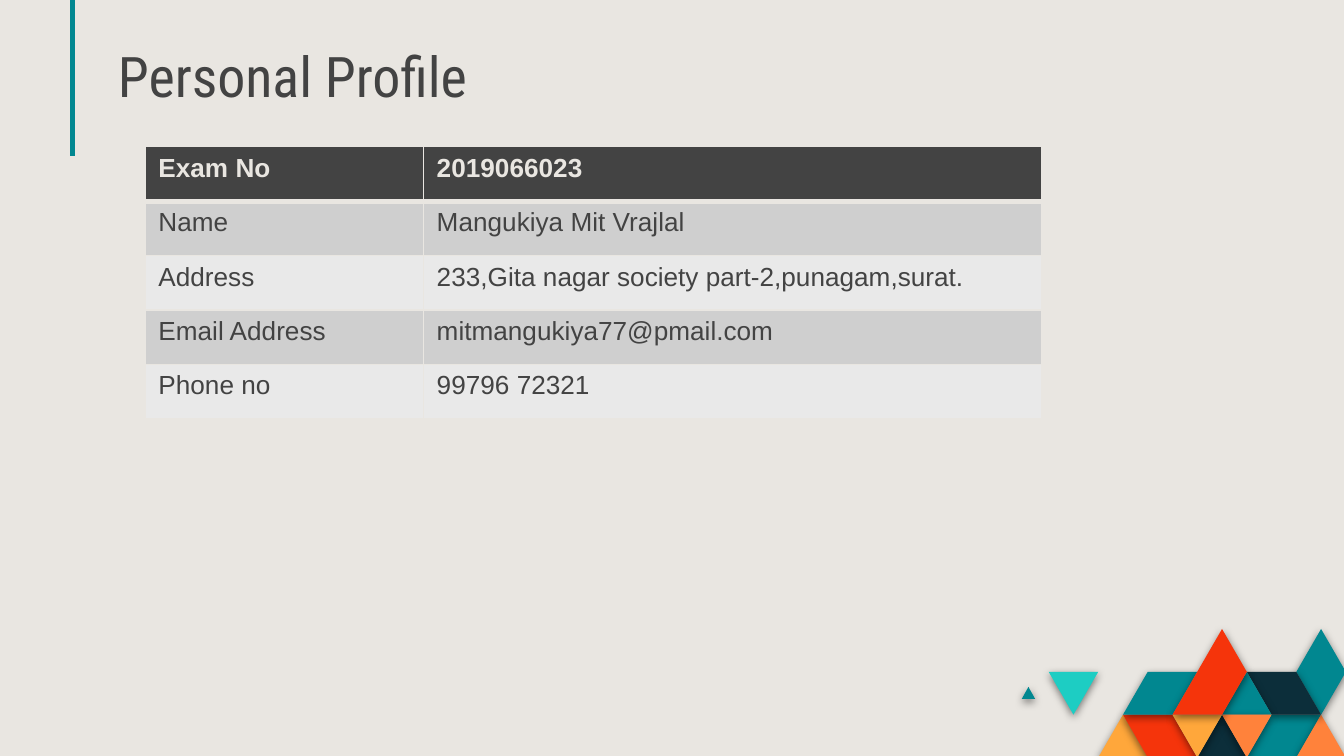
from lxml import etree
from pptx import Presentation
from pptx import util as u
from pptx.dml import color
from pptx.enum import shapes, text
from pptx.oxml import ns, parse_xml

BACKGROUND, DARK, TEAL = "E9E6E1", "434343", "018790"
RED, NAVY, AMBER, ORANGE, AQUA = "F5340B", "0C2E3A", "FFA73B", "FF823B", "1DCDC3"

PROFILE = [
    ("Exam No", "2019066023"),
    ("Name", "Mangukiya Mit Vrajlal"),
    ("Address", "233,Gita nagar society part-2,punagam,surat."),
    ("Email Address", "mitmangukiya77@pmail.com"),
    ("Phone no", "99796 72321"),
]

LATTICE_LEFT, LATTICE_TOP = 19.82, 11.89
HALF_SIDE, ROW_HEIGHT = 0.468, 0.81

TILES = [
    (AMBER, [(2, 3), (3, 2), (4, 3)]),
    (RED, [(3, 2), (5, 2), (6, 3), (4, 3)]),
    (TEAL, [(8, 3), (9, 2), (11, 2), (10, 3)]),
    (ORANGE, [(10, 3), (11, 2), (12, 3)]),
    (NAVY, [(6, 3), (7, 2), (8, 3)]),
    (TEAL, [(3, 2), (4, 1), (6, 1), (5, 2)]),
    (TEAL, [(-1.09, 1.63), (-0.82, 1.35), (-0.55, 1.63)]),
    (AQUA, [(0, 1), (2, 1), (1, 2)]),
    (TEAL, [(10, 1), (11, 0), (12, 1), (11, 2)]),
    (NAVY, [(8, 1), (10, 1), (11, 2), (9, 2)]),
    (TEAL, [(7, 2), (8, 1), (9, 2)]),
    (ORANGE, [(7, 2), (9, 2), (8, 3)]),
    (AMBER, [(5, 2), (7, 2), (6, 3)]),
    (RED, [(5, 2), (7, 0), (8, 1), (7, 2)]),
]


def rgb(value):
    """Turn a hex string into a colour."""
    return color.RGBColor.from_string(value)


def fill_solid(fill, value):
    """Give a fill one plain colour."""
    fill.solid()
    fill.fore_color.rgb = rgb(value)


def format_text(text_frame, font_name, size, value, bold=False):
    """Format every run of a text frame."""
    for paragraph in text_frame.paragraphs:
        for run in paragraph.runs:
            run.font.name = font_name
            run.font.size = u.Pt(size)
            run.font.bold = bold
            run.font.color.rgb = rgb(value)


def add_accent_line(slide):
    """Draw the vertical line beside the title."""
    line = slide.shapes.add_connector(
        shapes.MSO_CONNECTOR.STRAIGHT, u.Cm(1.37), u.Cm(-0.18), u.Cm(1.37), u.Cm(2.95))
    line.line.color.rgb = rgb(TEAL)
    line.line.width = u.Pt(2.25)
    etree.SubElement(line._element.spPr, ns.qn("a:effectLst"))


def add_title(slide, title):
    """Write the slide title."""
    box = slide.shapes.add_textbox(u.Cm(1.98), u.Cm(0.69), u.Cm(12.62), u.Cm(1.6))
    frame = box.text_frame
    frame.word_wrap = True
    frame.vertical_anchor = text.MSO_ANCHOR.BOTTOM
    frame.margin_left = frame.margin_right = u.Cm(0.25)
    frame.margin_top = frame.margin_bottom = u.Cm(0.25)
    frame.text = title
    frame.paragraphs[0].line_spacing = 0.8
    format_text(frame, "Roboto Condensed", 30, DARK)


def add_border(cell, side, points):
    """Draw one side of a table cell."""
    cell._tc.get_or_add_tcPr().append(parse_xml(
        f'<a:ln{side} {ns.nsdecls("a")} w="{u.Pt(points)}"><a:solidFill>'
        f'<a:srgbClr val="{BACKGROUND}"/></a:solidFill></a:ln{side}>'))


def format_cell(cell, row):
    """Style a cell by the row it stands in."""
    for side in "LRTB":
        below_header = (row, side) in [(0, "B"), (1, "T")]
        add_border(cell, side, 3 if below_header else 1)
    header = row == 0
    fill_solid(cell.fill, DARK if header else ("E9E9E9", "CFCFCF")[row % 2])
    format_text(cell.text_frame, "Arial", 14, BACKGROUND if header else DARK, header)


def add_profile_table(slide):
    """Add the table of personal details."""
    row_height = 1.03
    frame = slide.shapes.add_table(
        len(PROFILE), 2, u.Cm(2.74), u.Cm(2.77), u.Cm(16.94), u.Cm(row_height * len(PROFILE)))
    table = frame.table
    for column, width in zip(table.columns, (5.26, 11.68)):
        column.width = u.Cm(width)
    for row, values in enumerate(PROFILE):
        table.rows[row].height = u.Cm(row_height)
        for column, value in enumerate(values):
            cell = table.cell(row, column)
            cell.text_frame.text = value
            format_cell(cell, row)


def add_tile(group, value, corners):
    """Draw a shadowed tile through lattice corners."""
    points = [(u.Cm(LATTICE_LEFT + HALF_SIDE * column), u.Cm(LATTICE_TOP + ROW_HEIGHT * row))
              for column, row in corners]
    builder = group.shapes.build_freeform(*points[0])
    builder.add_line_segments(points[1:], close=True)
    tile = builder.convert_to_shape()
    fill_solid(tile.fill, value)
    tile.line.fill.background()
    tile._element.spPr.append(parse_xml(
        f'<a:effectLst {ns.nsdecls("a")}><a:outerShdw blurRad="{u.Pt(4.5)}" '
        f'dist="{u.Pt(1.5)}" dir="5400000" algn="bl" rotWithShape="0">'
        '<a:srgbClr val="000000"><a:alpha val="50000"/></a:srgbClr>'
        '</a:outerShdw></a:effectLst>'))


def add_mosaic(slide):
    """Draw the corner mosaic as one group."""
    group = slide.shapes.add_group_shape()
    for value, corners in TILES:
        add_tile(group, value, corners)


def main():
    """Build and save the slide."""
    presentation = Presentation()
    presentation.slide_width = u.Cm(25.4)
    presentation.slide_height = u.Cm(14.29)
    slide = presentation.slides.add_slide(presentation.slide_layouts[6])
    fill_solid(slide.background.fill, BACKGROUND)
    add_accent_line(slide)
    add_mosaic(slide)
    add_title(slide, "Personal Profile")
    add_profile_table(slide)
    presentation.save("out.pptx")


if __name__ == "__main__":
    main()
